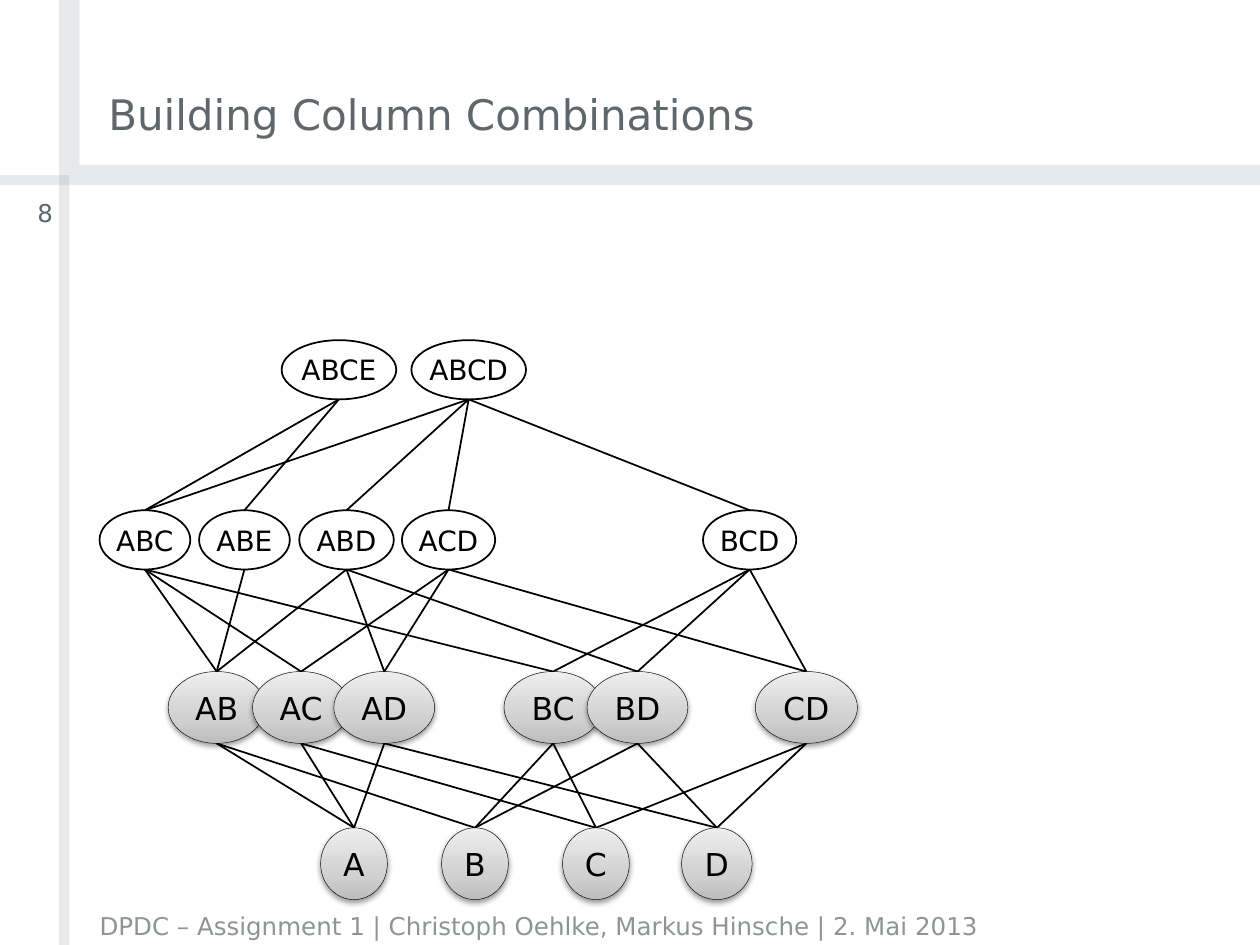
import pptx
import pptx.dml.color
import pptx.enum.shapes
import pptx.enum.text
import pptx.oxml
import pptx.oxml.ns
import pptx.util

Inches = pptx.util.Inches
RGBColor = pptx.dml.color.RGBColor
Align = pptx.enum.text.PP_ALIGN
Anchor = pptx.enum.text.MSO_ANCHOR
qn = pptx.oxml.ns.qn

TITLE = "Building Column Combinations"
FOOTER = "DPDC – Assignment 1 | Christoph Oehlke, Markus Hinsche | 2. Mai 2013"
PAGE_NUMBER = "8"

FONT = "DejaVu Sans"
BLACK = RGBColor(0x00, 0x00, 0x00)
WHITE = RGBColor(0xFF, 0xFF, 0xFF)
DARK_GRAY = RGBColor(0x60, 0x67, 0x6A)
GRAY = RGBColor(0x8E, 0x94, 0x96)
GRADIENT = [(0, RGBColor(0xBD, 0xBD, 0xBD)), (35, RGBColor(0xD1, 0xD1, 0xD1)),
            (100, RGBColor(0xEE, 0xEE, 0xEE))]

# left, top, width, height
BANDS = [(0.47, 0, 0.16, 1.31), (0.47, 1.31, 9.53, 0.16),
         (0.47, 1.47, 0.08, 6.03), (0, 1.39, 0.55, 0.08)]

# Lattice levels from bottom to top; nodes map a name to its (centre, width)
LEVELS = [
    {"top": 6.57, "height": 0.57, "size": 18, "shaded": True,
     "nodes": {"A": (2.81, 0.53), "B": (3.77, 0.53), "C": (4.73, 0.53), "D": (5.69, 0.56)}},
    {"top": 5.33, "height": 0.57, "size": 18, "shaded": True,
     "nodes": {"AB": (1.72, 0.77), "AC": (2.39, 0.77), "AD": (3.05, 0.8),
               "BC": (4.39, 0.78), "BD": (5.06, 0.8), "CD": (6.4, 0.81)}},
    {"top": 4.05, "height": 0.47, "size": 16, "shaded": False,
     "nodes": {"ABC": (1.15, 0.72), "ABD": (2.75, 0.75), "ABE": (1.94, 0.72),
               "ACD": (3.56, 0.74), "BCD": (5.95, 0.74)}},
    {"top": 2.7, "height": 0.47, "size": 16, "shaded": False,
     "nodes": {"ABCD": (3.72, 0.91), "ABCE": (2.69, 0.91)}},
]


def write_text(shape, text, size, color, align=Align.LEFT, anchor=Anchor.TOP,
               wrap=True, margin=0):
    """Fill a shape with one formatted paragraph."""
    frame = shape.text_frame
    frame.auto_size = pptx.enum.text.MSO_AUTO_SIZE.NONE
    frame.word_wrap = wrap
    frame.vertical_anchor = anchor
    frame.margin_left = frame.margin_right = Inches(margin)
    frame.margin_top = frame.margin_bottom = Inches(margin / 2)
    paragraph = frame.paragraphs[0]
    paragraph.alignment = align
    run = paragraph.add_run()
    run.text = text
    run.font.name = FONT
    run.font.size = pptx.util.Pt(size)
    run.font.color.rgb = color


def add_band(slide, box):
    """Add one translucent frame band."""
    band = slide.shapes.add_shape(pptx.enum.shapes.MSO_SHAPE.RECTANGLE, *map(Inches, box))
    band.shadow.inherit = False
    band.line.fill.background()
    band.fill.solid()
    band.fill.fore_color.rgb = GRAY
    color = band._element.spPr.find(".//" + qn("a:srgbClr"))
    pptx.oxml.xmlchemy.OxmlElement("a:alpha")
    alpha = color.makeelement(qn("a:alpha"), {"val": "20000"})
    color.append(alpha)


def shade(shape):
    """Give a shape a three-stop gradient, dark at the bottom, and a soft shadow."""
    namespace = pptx.oxml.ns.nsdecls("a")
    stops = "".join(f'<a:gs pos="{position * 1000}"><a:srgbClr val="{color}"/></a:gs>'
                    for position, color in GRADIENT)
    properties = shape._element.spPr
    shape.fill.gradient()
    properties.replace(properties.find(qn("a:gradFill")), pptx.oxml.parse_xml(
        f'<a:gradFill {namespace} rotWithShape="1"><a:gsLst>{stops}</a:gsLst>'
        '<a:lin ang="16200000" scaled="0"/></a:gradFill>'))
    properties.find(qn("a:effectLst")).append(pptx.oxml.parse_xml(
        f'<a:outerShdw {namespace} blurRad="40000" dist="20000" dir="5400000" '
        'rotWithShape="0"><a:srgbClr val="000000"><a:alpha val="38000"/></a:srgbClr>'
        '</a:outerShdw>'))


def add_node(slide, level, name):
    """Add the ellipse of one column combination."""
    center, width = level["nodes"][name]
    node = slide.shapes.add_shape(
        pptx.enum.shapes.MSO_SHAPE.OVAL, Inches(center - width / 2), Inches(level["top"]),
        Inches(width), Inches(level["height"]))
    node.shadow.inherit = False
    node.line.color.rgb = BLACK
    node.line.width = pptx.util.Pt(0.25 if level["shaded"] else 1)
    if level["shaded"]:
        shade(node)
    else:
        node.fill.solid()
        node.fill.fore_color.rgb = WHITE
    write_text(node, name, level["size"], BLACK, align=Align.CENTER,
               anchor=Anchor.MIDDLE, wrap=False, margin=0.1)


def add_edge(slide, start, end):
    """Add a thin black line between two points."""
    edge = slide.shapes.add_connector(pptx.enum.shapes.MSO_CONNECTOR.STRAIGHT,
                                      *map(Inches, start + end))
    edge.line.color.rgb = BLACK
    edge.line.width = pptx.util.Pt(1)
    properties = edge._element.spPr
    properties.append(properties.makeelement(qn("a:effectLst"), {}))


def connect_levels(slide, lower, upper):
    """Join each combination to the subsets of it one level below."""
    for parent, (parent_x, _) in upper["nodes"].items():
        for child, (child_x, _) in lower["nodes"].items():
            if set(child) < set(parent):
                add_edge(slide, (parent_x, upper["top"] + upper["height"]),
                         (child_x, lower["top"]))


def place(shape, left, top, width, height):
    """Move and size a shape, in inches."""
    shape.left, shape.top = Inches(left), Inches(top)
    shape.width, shape.height = Inches(width), Inches(height)


presentation = pptx.Presentation()
presentation.slide_width, presentation.slide_height = Inches(10), Inches(7.5)
slide = presentation.slides.add_slide(presentation.slide_layouts.get_by_name("Title Only"))

for box in BANDS:
    add_band(slide, box)

title = slide.shapes.title
place(title, 0.86, 0, 6.83, 1.1)
write_text(title, TITLE, 24, DARK_GRAY, anchor=Anchor.BOTTOM)
footer = slide.shapes.add_textbox(*map(Inches, (0.79, 7.18, 8.94, 0.28)))
write_text(footer, FOOTER, 14, GRAY, anchor=Anchor.BOTTOM)
page_number = slide.shapes.add_textbox(*map(Inches, (-0.18, 1.57, 0.6, 0.36)))
write_text(page_number, PAGE_NUMBER, 14, DARK_GRAY, align=Align.RIGHT)

for lower, upper in zip(LEVELS, LEVELS[1:]):
    connect_levels(slide, lower, upper)
for level in LEVELS:
    for name in level["nodes"]:
        add_node(slide, level, name)

presentation.save("out.pptx")
